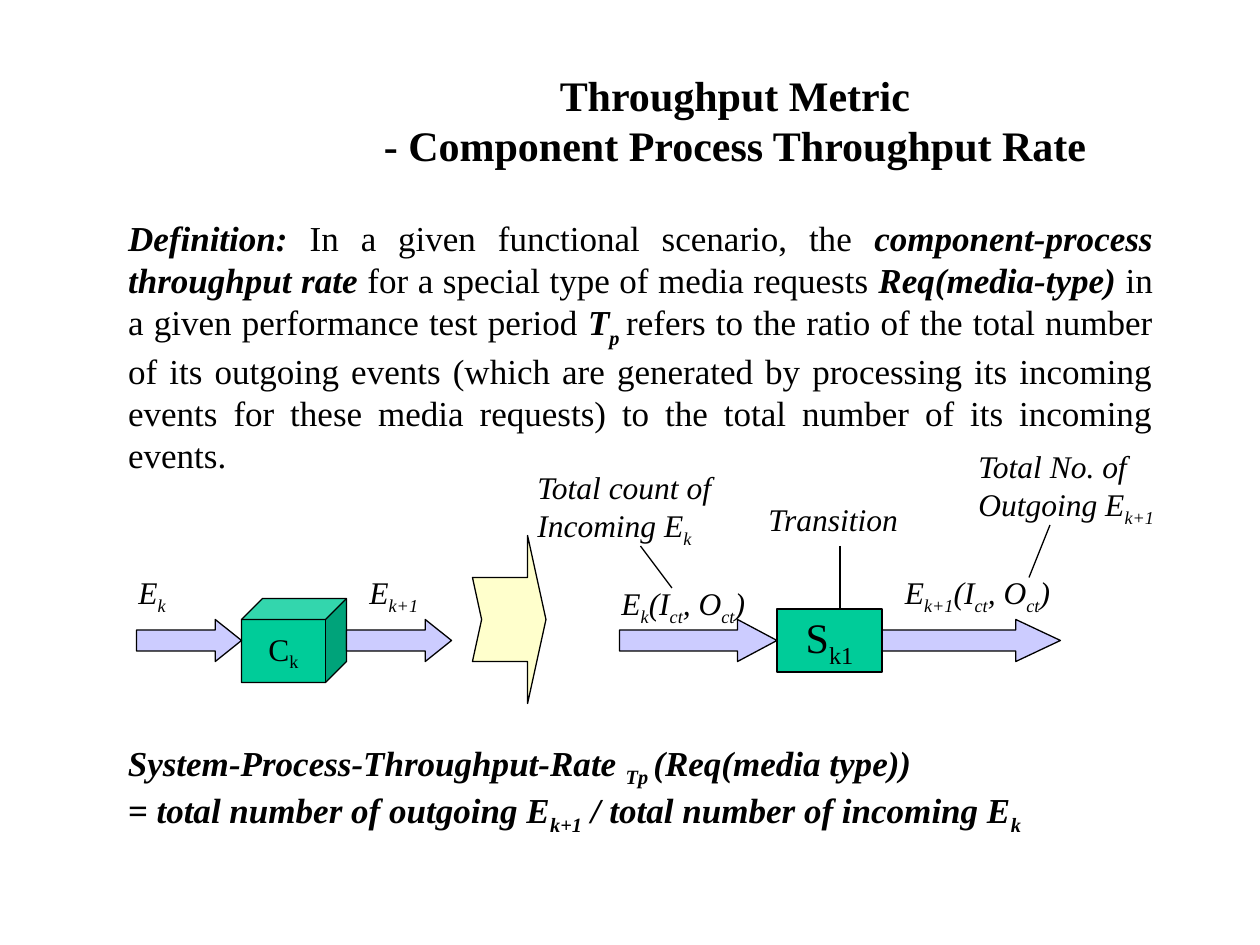
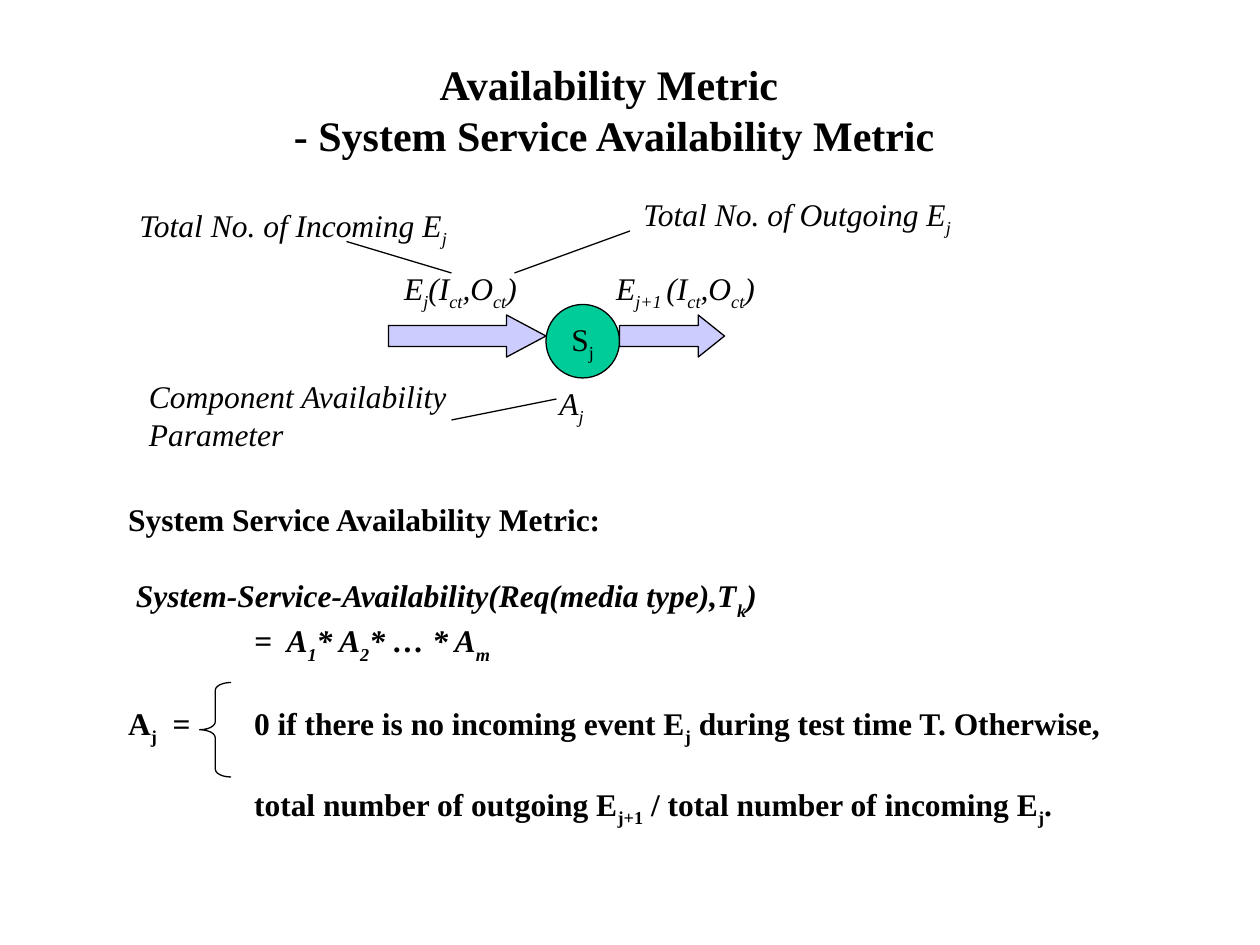
from lxml import etree
from pptx import Presentation
from pptx.dml.color import RGBColor
from pptx.enum.shapes import MSO_CONNECTOR as Connector, MSO_SHAPE as Shape
from pptx.enum.text import MSO_ANCHOR as Anchor, MSO_AUTO_SIZE as AutoSize, PP_ALIGN as Align
from pptx.oxml.ns import qn
from pptx.util import Emu, Pt

PX = 914400 // 120
FONT = "Times New Roman"
BLACK, GREEN, LAVENDER, CREAM = "000000", "00CC99", "CCCCFF", "FFFFCC"
TITLE_AND_CONTENT = 1
TAB_STOP = 120


def px(*lengths):
    return [Emu(length * PX) for length in lengths]


def color(hex_code):
    return RGBColor.from_string(hex_code)


def place(shape, box):
    shape.left, shape.top, shape.width, shape.height = px(*box)


def write_line(paragraph, text, size, bold=False, italic=False, align=Align.LEFT):
    """Pipes switch bold italic on and off; tildes switch subscript on and off."""
    paragraph.alignment = align
    paragraph.space_before = Pt(0)
    for part_index, part in enumerate(text.split("|")):
        emphasised = part_index % 2 == 1
        drop = 30 if emphasised else 25
        for piece_index, piece in enumerate(part.split("~")):
            if not piece:
                continue
            run = paragraph.add_run()
            run.text = piece
            run.font.name, run.font.size = FONT, Pt(size)
            run.font.bold = bold or emphasised
            run.font.italic = italic or emphasised
            run.font.color.rgb = color(BLACK)
            if piece_index % 2:
                run.font._element.set("baseline", str(-drop * 1000))


def write_lines(text_frame, lines, size, anchor=Anchor.TOP, wrap=True, **style):
    text_frame.auto_size = AutoSize.NONE
    text_frame.vertical_anchor = anchor
    text_frame.word_wrap = wrap
    for index, text in enumerate(lines):
        paragraph = text_frame.add_paragraph() if index else text_frame.paragraphs[0]
        write_line(paragraph, text, size, **style)


def set_indent(paragraph, left=0, first_line=0):
    properties = paragraph._p.get_or_add_pPr()
    properties.set("marL", str(left * PX))
    properties.set("indent", str(first_line * PX))
    properties.set("defTabSz", str(TAB_STOP * PX))


def add_titled_slide(presentation, title_box, title_lines):
    slide = presentation.slides.add_slide(presentation.slide_layouts[TITLE_AND_CONTENT])
    place(slide.shapes.title, title_box)
    write_lines(slide.shapes.title.text_frame, title_lines, 24, bold=True, align=Align.CENTER)
    return slide


def fill_body(slide, box, lines, size, **style):
    body = slide.placeholders[1]
    place(body, box)
    write_lines(body.text_frame, lines, size, align=Align.JUSTIFY, **style)
    for paragraph in body.text_frame.paragraphs:
        set_indent(paragraph)
        etree.SubElement(paragraph._p.get_or_add_pPr(), qn("a:buNone"))
    return body.text_frame.paragraphs


def add_label(slide, box, *lines, size=18, wrap=True, **style):
    label = slide.shapes.add_textbox(*px(*box))
    write_lines(label.text_frame, lines, size, wrap=wrap, italic=True, **style)


def add_outlined(slide, kind, box, fill=None, adjustments=()):
    shape = slide.shapes.add_shape(kind, *px(*box))
    shape.shadow.inherit = False
    shape.line.color.rgb = color(BLACK)
    shape.line.width = Pt(0.75)
    if fill:
        shape.fill.solid()
        shape.fill.fore_color.rgb = color(fill)
    else:
        shape.fill.background()
    for index, value in enumerate(adjustments):
        shape.adjustments[index] = value
    return shape


def add_node(slide, kind, box, name, size=18):
    node = add_outlined(slide, kind, box, GREEN)
    write_lines(node.text_frame, [name], size, Anchor.MIDDLE, wrap=False, align=Align.CENTER)


def add_event_arrow(slide, left, top, width, height=40):
    head = width / 4
    add_outlined(slide, Shape.RIGHT_ARROW, (left, top, width, height), LAVENDER, (0.5, head / height))


def add_pointer(slide, *ends):
    pointer = slide.shapes.add_connector(Connector.STRAIGHT, *px(*ends))
    pointer.line.color.rgb = color(BLACK)
    pointer.line.width = Pt(0.75)
    etree.SubElement(pointer._element.spPr, qn("a:effectLst"))


def build_throughput(presentation):
    slide = add_titled_slide(presentation, (300, 60, 800, 108),
                             ["Throughput Metric", "- Component Process Throughput Rate"])
    fill_body(slide, (110, 200, 1000, 260), [
        "|Definition:| In a given functional scenario, the |component-process throughput rate| "
        "for a special type of media requests |Req(media-type)| in a given performance test period "
        "|T~p ~|refers to the ratio of the total number of its outgoing events (which are generated "
        "by processing its incoming events for these media requests) to the total number of its "
        "incoming events."], 20)

    add_node(slide, Shape.CUBE, (230, 570, 100, 80), "C~k~")
    for left, width in ((130, 100), (330, 100), (590, 150), (840, 170)):
        add_event_arrow(slide, left, 590, width)
    add_node(slide, Shape.RECTANGLE, (740, 580, 100, 60), "S~k1~", size=24)
    add_outlined(slide, Shape.NOTCHED_RIGHT_ARROW, (450, 510, 70, 160), CREAM, (0.5, 0.25))

    add_label(slide, (340, 540, 80, 53), "E~k+1~")
    add_label(slide, (120, 540, 70, 53), "E~k~")
    add_label(slide, (920, 420, 200, 89), "Total No. of Outgoing E~k+1~")
    add_label(slide, (850, 540, 180, 53), "E~k+1~(I~ct~, O~ct~)")
    add_label(slide, (580, 550, 150, 53), "E~k~(I~ct~, O~ct~)")
    add_label(slide, (500, 440, 210, 89), "Total count of Incoming E~k~")
    add_label(slide, (720, 470, 170, 48), "Transition")
    for ends in ((610, 520, 640, 560), (1000, 500, 980, 550), (800, 520, 800, 580)):
        add_pointer(slide, *ends)

    add_label(slide, (110, 700, 900, 103),
              "System-Process-Throughput-Rate ~Tp ~(Req(media type))",
              "= total number of outgoing E~k+1~ / total number of incoming E~k~",
              size=20, bold=True, align=Align.JUSTIFY)


def build_availability(presentation):
    slide = add_titled_slide(presentation, (150, 50, 870, 108),
                             ["Availability Metric ", "- System Service Availability Metric"])
    heading, metric, product, no_event, ratio = fill_body(slide, (110, 470, 980, 330), [
        "System Service Availability Metric:",
        " |System-Service-Availability(Req(media type),T~k~)|",
        "|=  A~1~* A~2~* … * A~m~|",
        "A~j~  =\t0 if there is no incoming event E~j~ during test time T. Otherwise,",
        "total number of outgoing E~j+1~ / total number of incoming E~j~."], 18, bold=True)
    for paragraph in (metric, no_event, ratio):
        paragraph.space_before = Pt(22)
    for paragraph in (product, ratio):
        set_indent(paragraph, TAB_STOP)
    set_indent(no_event, TAB_STOP, -TAB_STOP)

    add_node(slide, Shape.OVAL, (520, 290, 70, 70), "S~j~")
    add_event_arrow(slide, 370, 300, 150)
    add_event_arrow(slide, 590, 300, 100)
    add_outlined(slide, Shape.LEFT_BRACE, (190, 650, 30, 90), adjustments=(0.25, 0.5))

    for box, text in (((373, 250, 131, 53), "E~j~(I~ct~,O~ct~)"),
                      ((575, 250, 156, 53), "E~j+1 ~(I~ct~,O~ct~)"),
                      ((521, 360, 47, 53), "A~j~"),
                      ((121, 190, 319, 53), "Total No. of Incoming E~j~"),
                      ((601, 180, 319, 53), "Total No. of Outgoing E~j~")):
        add_label(slide, box, text, wrap=False)
    add_label(slide, (130, 353, 310, 84), "Component Availability", "Parameter")
    for ends in ((430, 400, 530, 380), (490, 260, 600, 220), (430, 260, 330, 230)):
        add_pointer(slide, *ends)


def main():
    presentation = Presentation()
    presentation.slide_width, presentation.slide_height = px(1200, 900)
    build_throughput(presentation)
    build_availability(presentation)
    presentation.save("out.pptx")


if __name__ == "__main__":
    main()
